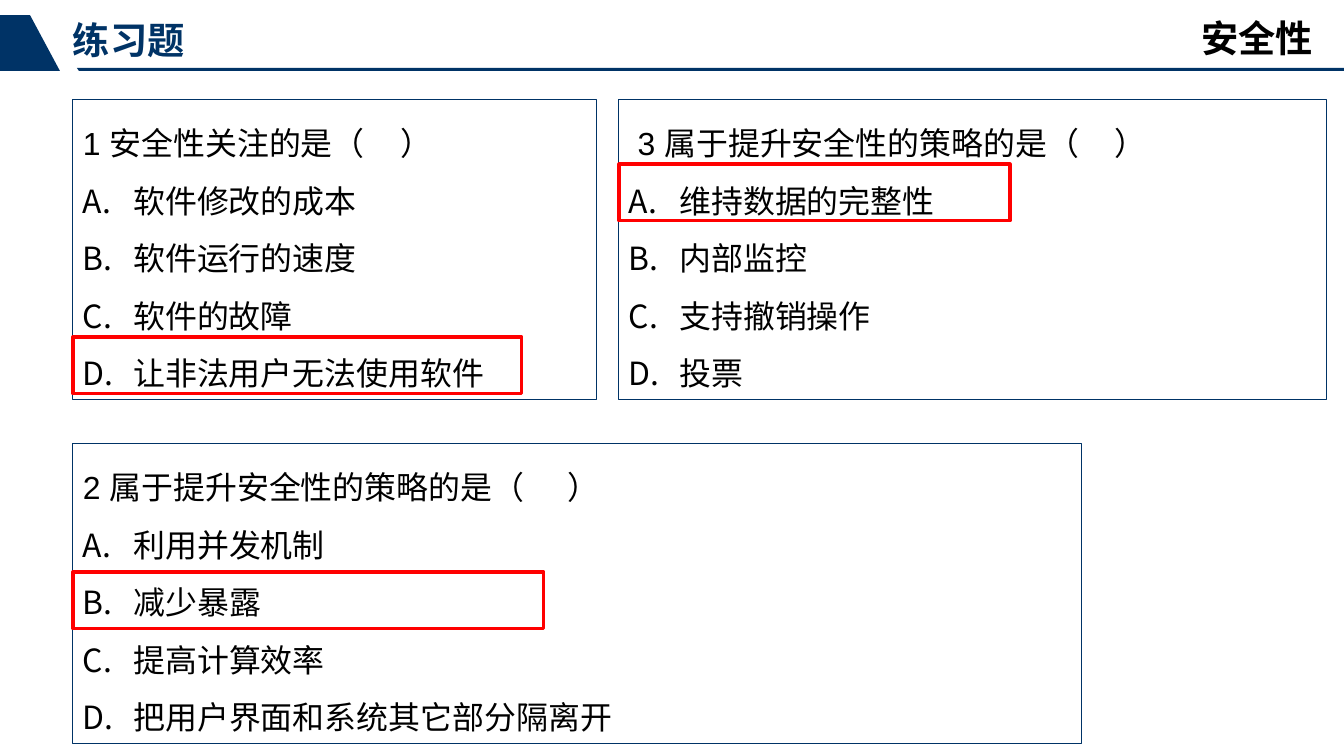
from lxml import etree
from pptx import Presentation
from pptx.dml.color import RGBColor
from pptx.enum.shapes import MSO_SHAPE
from pptx.enum.text import MSO_ANCHOR, MSO_AUTO_SIZE, PP_ALIGN
from pptx.oxml.ns import qn
from pptx.util import Pt

RECTANGLE = MSO_SHAPE.RECTANGLE
TOP = MSO_ANCHOR.TOP
NO_AUTOFIT = MSO_AUTO_SIZE.NONE
LEFT, RIGHT = PP_ALIGN.LEFT, PP_ALIGN.RIGHT

PX = 914400 / 100.8
NAVY, BLACK, RED = "003366", "000000", "FF0000"
OPTION_INDENT = round(50.4 * PX)


def color(hex_string):
    return RGBColor.from_string(hex_string)


def format_font(font, **values):
    font.color.rgb = color(values.pop("color"))
    for name, value in {"name": "Arial", **values}.items():
        setattr(font, name, value)


presentation = Presentation()
presentation.slide_width = round(1344 * PX)
presentation.slide_height = round(756 * PX)
slide = presentation.slides.add_slide(presentation.slide_layouts[5])
shapes = slide.shapes

# Header band: rule and slanted tab
header_outlines = [
    [(77, 68), (1344, 68), (1344, 71), (79, 71)],
    [(30, 15), (60, 71), (0, 71), (0, 15)],
]
for points in header_outlines:
    builder = shapes.build_freeform(*points[0], scale=PX)
    builder.add_line_segments(points[1:], close=True)
    shape = builder.convert_to_shape()
    shape.shadow.inherit = False
    shape.fill.solid()
    shape.fill.fore_color.rgb = color(NAVY)
    shape.line.fill.background()

# Title on the left, topic on the right
topic = shapes.add_textbox(0, 0, 0, 0)
headings = [
    (shapes.title, "练习题", (73, 17, 705, 45), LEFT, NAVY),
    (topic, "安全性", (958, 15, 355, 45), RIGHT, BLACK),
]
for shape, text, box, alignment, text_color in headings:
    shape.left, shape.top, shape.width, shape.height = [round(v * PX) for v in box]
    frame = shape.text_frame
    frame_format = {
        "margin_left": 0, "margin_top": 0, "margin_right": 0, "margin_bottom": 0,
        "word_wrap": True, "auto_size": NO_AUTOFIT, "vertical_anchor": TOP,
    }
    for name, value in frame_format.items():
        setattr(frame, name, value)
    paragraph = frame.paragraphs[0]
    paragraph.alignment = alignment
    run = paragraph.add_run()
    run.text = text
    format_font(run.font, size=Pt(26.6), bold=True, color=text_color)

# Questions: box, lines of text, frame around the right answer
questions = [
    ((73, 100, 524, 300),
     ["1 安全性关注的是（     ）", "软件修改的成本", "软件运行的速度",
      "软件的故障", "让非法用户无法使用软件"],
     (73, 337, 449, 57)),
    ((73, 444, 1009, 300),
     ["2 属于提升安全性的策略的是（      ）", "利用并发机制", "减少暴露",
      "提高计算效率", "把用户界面和系统其它部分隔离开"],
     (73, 572, 471, 57)),
    ((619, 100, 708, 300),
     [" 3 属于提升安全性的策略的是（     ）", "维持数据的完整性", "内部监控",
      "支持撤销操作", "投票"],
     (619, 164, 391, 57)),
]
for question_box, lines, answer_box in questions:
    frames = [(question_box, NAVY, 0.75, lines), (answer_box, RED, 2.25, [])]
    for box, line_color, line_width, texts in frames:
        shape = shapes.add_shape(RECTANGLE, *[round(v * PX) for v in box])
        shape.shadow.inherit = False
        shape.fill.background()
        shape.line.color.rgb = color(line_color)
        shape.line.width = Pt(line_width)
        frame = shape.text_frame
        frame.word_wrap = True
        frame.vertical_anchor = TOP
        for index, text in enumerate(texts):
            paragraph = frame.paragraphs[0] if index == 0 else frame.add_paragraph()
            paragraph.alignment = LEFT
            paragraph.line_spacing = 1.5
            run = paragraph.add_run()
            run.text = text
            format_font(run.font, size=Pt(22.8), color=BLACK)
            if index > 0:
                # Lettered option with a hanging indent
                properties = paragraph._p.get_or_add_pPr()
                properties.set("marL", str(OPTION_INDENT))
                properties.set("indent", str(-OPTION_INDENT))
                etree.SubElement(properties, qn("a:buFont"), typeface="+mj-ea")
                etree.SubElement(properties, qn("a:buAutoNum"), type="alphaUcPeriod")

presentation.save("out.pptx")
